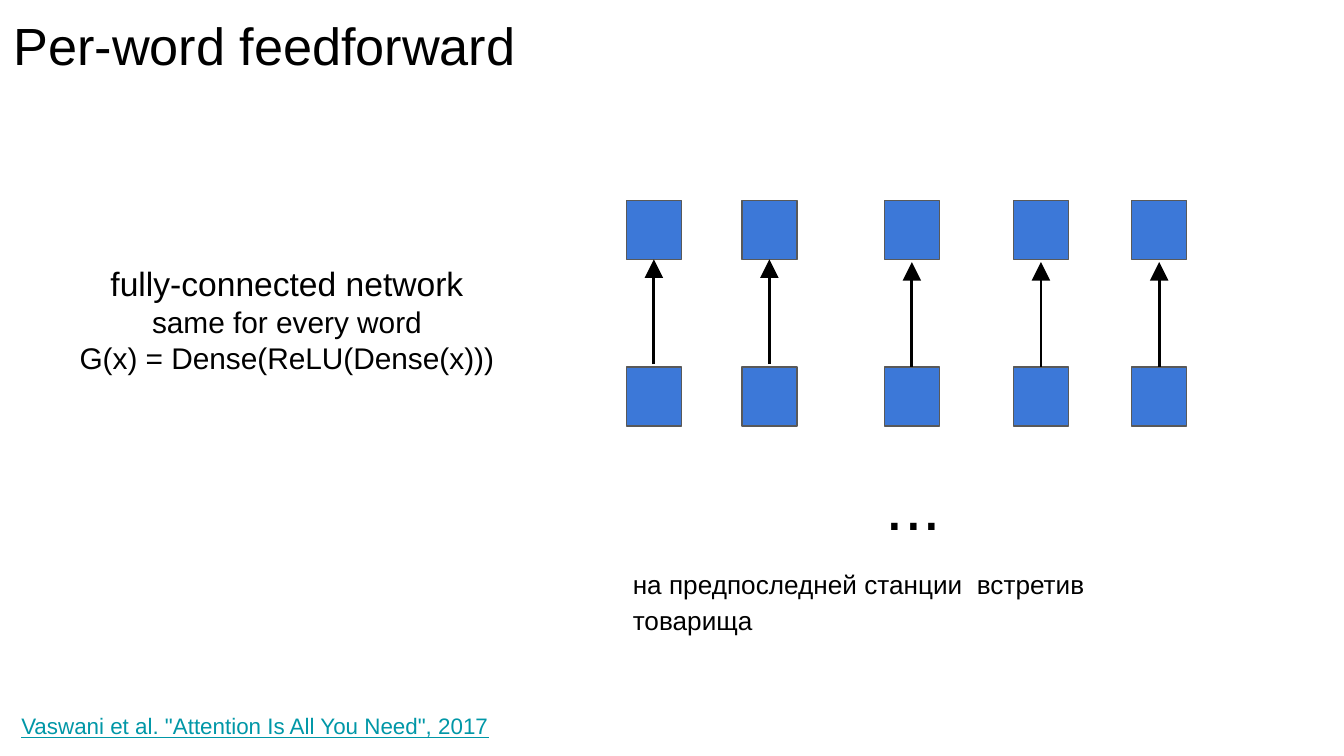
"""Build the slide on the per-word feedforward layer."""
from lxml.etree import SubElement
from pptx import Presentation
from pptx.dml.color import RGBColor
from pptx.enum.shapes import MSO_CONNECTOR, MSO_SHAPE
from pptx.enum.text import MSO_ANCHOR, MSO_AUTO_SIZE, PP_ALIGN
from pptx.oxml.ns import qn
from pptx.util import Inches, Pt

COLORS = {"text": "000000", "box": "3C78D8", "border": "595959", "link": "0097A7"}


def rgb(name):
    return RGBColor.from_string(COLORS[name])


def write(sp, lines, sizes, align=PP_ALIGN.LEFT, anchor=MSO_ANCHOR.TOP, color="text"):
    """Fill a shape with text; sizes holds one size for each run."""
    tf = sp.text_frame
    tf.text = lines
    tf.word_wrap = True
    tf.auto_size = MSO_AUTO_SIZE.NONE
    tf.vertical_anchor = anchor
    tf.margin_left = tf.margin_right = tf.margin_top = tf.margin_bottom = Inches(0.1)
    for p in tf.paragraphs:
        p.alignment = align
    runs = [r for p in tf.paragraphs for r in p.runs]
    for r, size in zip(runs, sizes):
        r.font.name = "Arial"
        r.font.size = Pt(size)
        r.font.color.rgb = rgb(color)
    return tf


prs = Presentation()
prs.slide_width, prs.slide_height = Inches(10), Inches(10 * 9 / 16)
s = prs.slides.add_slide(prs.slide_layouts[5])

title = s.shapes.title
title.left, title.top = Inches(0), Inches(0)
title.width, title.height = Inches(9.66), Inches(0.63)
tf = write(title, "Per-word feedforward", [28])
tf.paragraphs[0].line_spacing = 1.0

sentence = s.shapes.add_textbox(Inches(4.61), Inches(4.28), Inches(4.48), Inches(0.37))
tf = write(sentence, "на предпоследней станции  встретив товарища", [14], anchor=MSO_ANCHOR.MIDDLE)
tf.paragraphs[0].line_spacing = 1.15
tf.paragraphs[0].space_after = Pt(16)

box_w, box_h = 0.41, 0.44
top_row, bottom_row = 1.49, 2.73
columns = [(4.66, -0.02), (5.52, -0.02), (6.58, 0), (7.54, 0), (8.42, 0)]
for y in (bottom_row, top_row):
    for x, _ in columns:
        sp = s.shapes.add_shape(MSO_SHAPE.RECTANGLE, Inches(x), Inches(y), Inches(box_w), Inches(box_h))
        sp.shadow.inherit = False
        sp.fill.solid()
        sp.fill.fore_color.rgb = rgb("box")
        sp.line.color.rgb = rgb("border")
        sp.line.width = Pt(0.75)

for x, shift in columns:
    center, start = x + box_w / 2, bottom_row + shift
    arrow = s.shapes.add_connector(
        MSO_CONNECTOR.STRAIGHT, Inches(center), Inches(start), Inches(center), Inches(start - 0.78))
    arrow.line.color.rgb = rgb("text")
    arrow.line.width = Pt(1.5)
    SubElement(arrow.line._get_or_add_ln(), qn("a:tailEnd"), type="triangle", w="lg", len="lg")
    SubElement(arrow._element.spPr, qn("a:effectLst"))

network = s.shapes.add_textbox(Inches(0.44), Inches(1.86), Inches(3.39), Inches(1.23))
write(network, "fully-connected network\vsame for every word\nG(x) = Dense(ReLU(Dense(x)))",
      [18, 16, 16], align=PP_ALIGN.CENTER)

dots = s.shapes.add_textbox(Inches(6.49), Inches(3.35), Inches(0.74), Inches(0.63))
write(dots, "...", [36])

citation = s.shapes.add_textbox(Inches(0.06), Inches(5.2), Inches(3.99), Inches(0.37))
tf = write(citation, 'Vaswani et al. "Attention Is All You Need", 2017', [12], color="link")
tf.paragraphs[0].runs[0].font.underline = True

prs.save("out.pptx")
